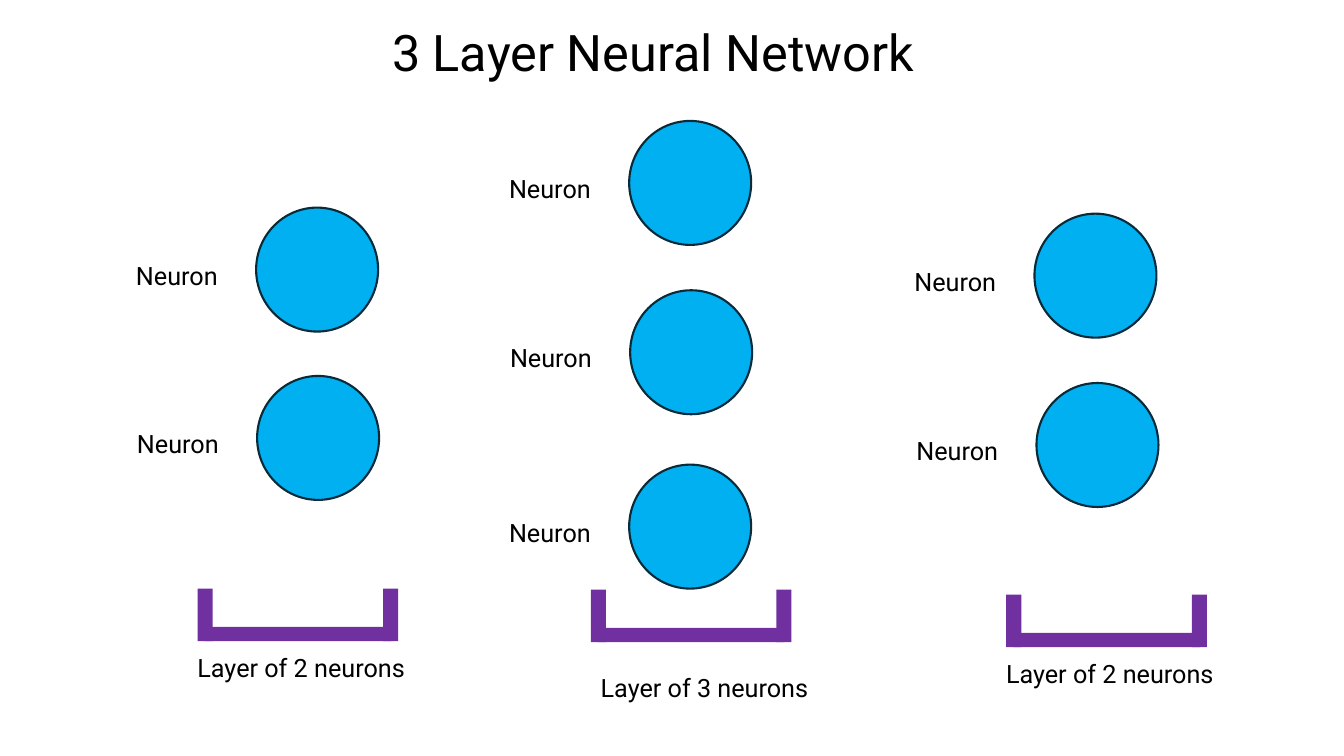
from pptx import Presentation
from pptx.dml.color import RGBColor
from pptx.enum.shapes import MSO_SHAPE
from pptx.enum.text import MSO_AUTO_SIZE
from pptx.util import Inches, Pt

OVAL = MSO_SHAPE.OVAL
RECTANGLE = MSO_SHAPE.RECTANGLE
GROW = MSO_AUTO_SIZE.SHAPE_TO_FIT_TEXT

TITLE = "3 Layer Neural Network"
NEURON = "Neuron"
LAYERS = [
    {"caption": "Layer of 2 neurons", "caption_at": (1.86, 6.42),
     "bracket_at": (2.03, 6.22), "neurons": [(2.54, 2.06), (2.55, 3.73)]},
    {"caption": "Layer of 3 neurons", "caption_at": (5.86, 6.62),
     "bracket_at": (5.93, 6.23),
     "neurons": [(6.24, 1.2), (6.25, 2.88), (6.24, 4.61)]},
    {"caption": "Layer of 2 neurons", "caption_at": (9.88, 6.48),
     "bracket_at": (10.05, 6.28), "neurons": [(10.26, 2.12), (10.28, 3.8)]},
]
FONT = "Roboto"
BLACK, BLUE, NAVY, PURPLE = "000000", "00B0F0", "092A39", "7030A0"
NEURON_SIZE = (1.21, 1.23)
LABEL_SHIFT = (-1.29, 0.47)
BAR_SIZE = (1.85, 0.14)
POST_SIZE = (0.15, 0.52)
POST_SHIFTS = (-0.07, 1.77)
POST_RISE = 0.38


def color(value):
    return RGBColor.from_string(value)


def add_text(text, left, top, width, height=0.4, size=18):
    box = page.shapes.add_textbox(Inches(left), Inches(top), Inches(width), Inches(height))
    frame = box.text_frame
    frame.word_wrap = True
    frame.auto_size = GROW
    frame.text = text
    font = frame.paragraphs[0].runs[0].font
    font.name = FONT
    font.size = Pt(size)
    font.color.rgb = color(BLACK)


def add_solid(shapes, kind, left, top, size, fill, line=None):
    shape = shapes.add_shape(kind, Inches(left), Inches(top), Inches(size[0]), Inches(size[1]))
    shape.shadow.inherit = False
    shape.fill.solid()
    shape.fill.fore_color.rgb = color(fill)
    if line:
        shape.line.color.rgb = color(line)
        shape.line.width = Pt(1.5)
    else:
        shape.line.fill.background()


def add_bracket(left, top):
    shapes = page.shapes.add_group_shape().shapes
    add_solid(shapes, RECTANGLE, left, top, BAR_SIZE, PURPLE)
    for shift in POST_SHIFTS:
        add_solid(shapes, RECTANGLE, left + shift, top - POST_RISE, POST_SIZE, PURPLE)


deck = Presentation()
deck.slide_width, deck.slide_height = Inches(13.33), Inches(7.5)
page = deck.slides.add_slide(deck.slide_layouts[6])

add_text(TITLE, 3.79, 0.16, 6.39, 0.71, 36)
for layer in LAYERS:
    for left, top in layer["neurons"]:
        add_solid(page.shapes, OVAL, left, top, NEURON_SIZE, BLUE, NAVY)
        add_text(NEURON, left + LABEL_SHIFT[0], top + LABEL_SHIFT[1], 1.21)
    add_bracket(*layer["bracket_at"])
    add_text(layer["caption"], *layer["caption_at"], 2.53)

deck.save("out.pptx")
